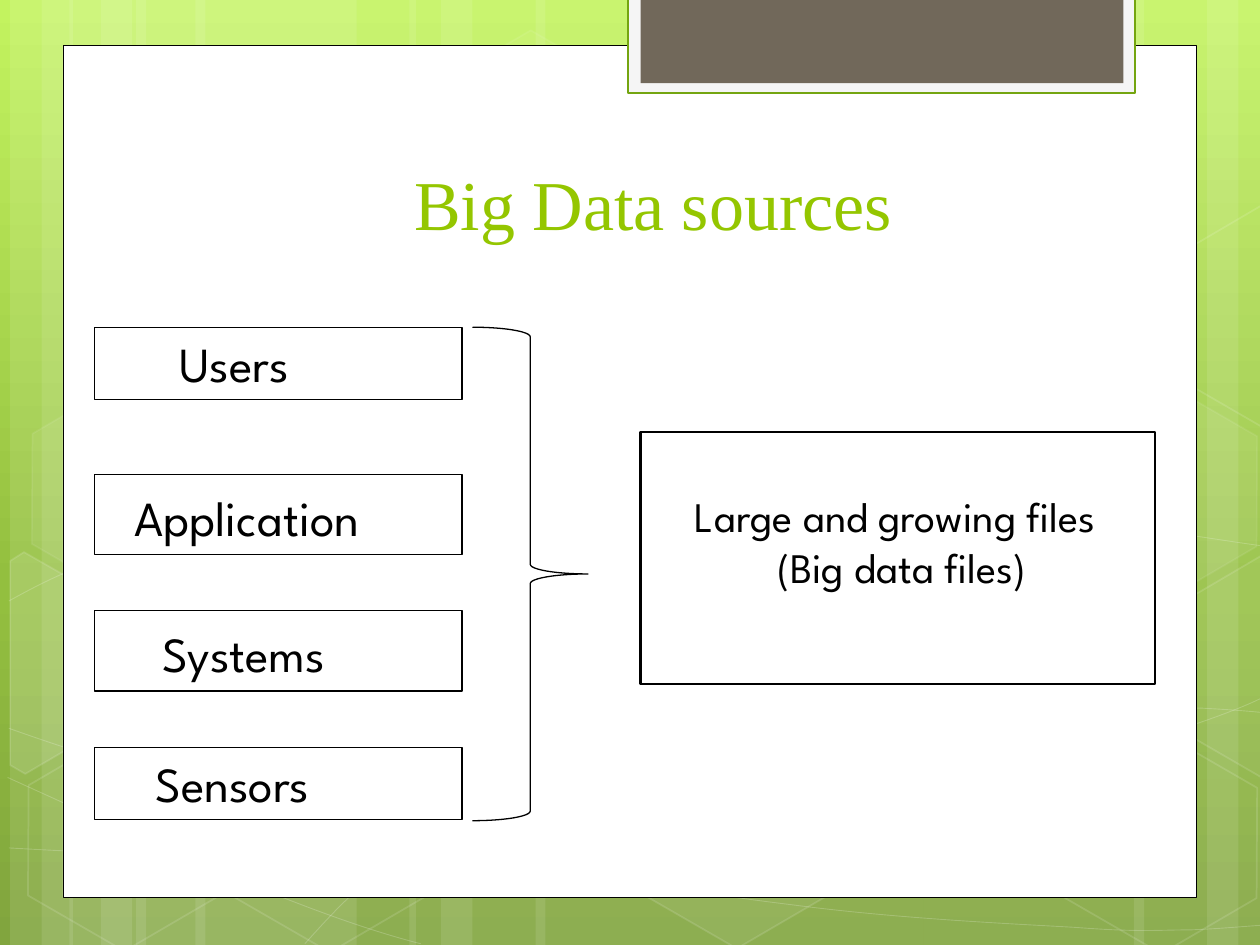
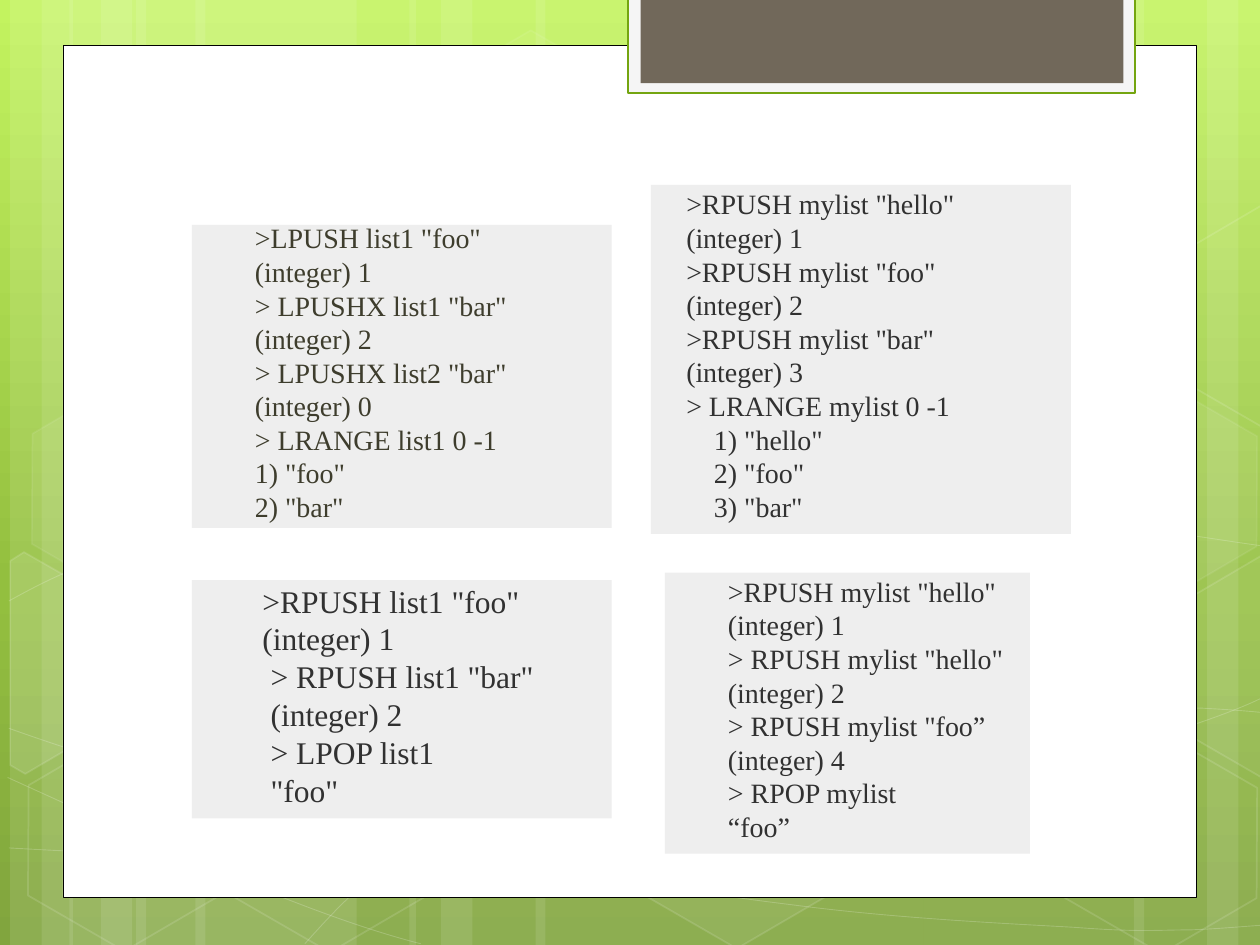
from dataclasses import dataclass
from math import cos, radians, sin
from typing import NamedTuple, Optional

from lxml.etree import SubElement
from pptx import Presentation
from pptx.dml.color import RGBColor
from pptx.enum.shapes import MSO_SHAPE
from pptx.enum.text import MSO_ANCHOR, PP_ALIGN
from pptx.oxml.ns import qn
from pptx.util import Inches, Pt

SLIDE_WIDTH, SLIDE_HEIGHT = Inches(10), Inches(7.5)
COLUMNS = 100  # the grid has square cells, so the slide is 75 rows high
CELL = SLIDE_WIDTH // COLUMNS
TILT = 30  # degrees by which every hexagon is turned

WHITE = RGBColor(0xFF, 0xFF, 0xFF)
BLACK = RGBColor(0x00, 0x00, 0x00)
SKY_TOP = RGBColor(0xC3, 0xF3, 0x5F)
SKY_MIDDLE = RGBColor(0x93, 0xBF, 0x3F)
SKY_BOTTOM = RGBColor(0x81, 0xA5, 0x3E)
TAB_FRAME = RGBColor(0xF5, 0xF5, 0xF5)
TAB_EDGE = RGBColor(0x74, 0xA5, 0x10)
TAB_BROWN = RGBColor(0x71, 0x68, 0x5A)
TITLE_GREEN = RGBColor(0x94, 0xC6, 0x00)
PANEL_GREY = RGBColor(0xEE, 0xEE, 0xEE)
OLIVE_TEXT = RGBColor(0x3E, 0x3D, 0x2D)
DARK_TEXT = RGBColor(0x31, 0x31, 0x31)

SERIF = "Times New Roman"
SANS = "League Spartan"


class Box(NamedTuple):
    """Left, top, width and height in grid cells."""
    left: float
    top: float
    width: float
    height: float


class Line(NamedTuple):
    text: str
    indent: float = 0


@dataclass
class Hexagon:
    left: float
    top: float
    fill_opacity: int
    line_opacity: int


@dataclass
class CutHexagon:
    center: tuple
    points: list
    fill_opacity: int


@dataclass
class SourceBox:
    label: str
    top: float
    height: float
    indent: float
    bottom_margin: float


@dataclass
class CodePanel:
    box: Box
    lines: list
    size: int = 16
    color: RGBColor = DARK_TEXT


STRIPS = [(10.8, 17.5), (0.8, 5), (3.3, 8.3), (15.5, 17.5), (5.5, 5), (8, 8.3),
          (73.3, 17.5), (95.8, 5), (90, 8.3), (42.5, 30.8), (32.5, 5), (35, 8.3)]

# Each curve is a start point followed by triples of Bezier points.
CURVES = [
    [(0.7, 67.3), (6.1, 67.6), (11.5, 67.9), (19, 67.8), (26.5, 67.7), (35.8, 67.5),
     (45.8, 66.5), (55.8, 65.5), (70, 63.6), (79.2, 61.7), (88.3, 59.8), (97.7, 56.8),
     (100.7, 55.1)],
    [(0.7, 47.7), (3.6, 46.1), (6.5, 44.6), (12.1, 43.1), (17.8, 41.6), (25.9, 39.4),
     (34.7, 38.7), (43.6, 38), (54.4, 37.9), (65.4, 38.7), (76.4, 39.5), (94.7, 42.6),
     (100.7, 43.4)],
    [(0.6, 61.7), (12.7, 67.2), (24.7, 72.7), (33.4, 74.9)],
    [(0.7, 57.8), (3.8, 58.9), (7, 60), (12.8, 61.6), (18.6, 63.1), (27.3, 65.6),
     (35.7, 67.3), (44, 69), (54.5, 70.8), (62.8, 71.8), (71.1, 72.9), (80, 73.3),
     (85.3, 73.6), (90.5, 74), (91.9, 73.8), (94.5, 73.8), (97.1, 73.7), (98.9, 73.5),
     (100.7, 73.4)],
    [(24.2, 74.9), (26, 72.9), (27.8, 70.9), (30.2, 69.1), (32.6, 67.3), (36, 65.3),
     (38.8, 63.9), (41.6, 62.5), (43.3, 61.9), (47, 60.9), (50.6, 59.9), (57.3, 58.5),
     (60.8, 57.8), (64.4, 57.1), (64.9, 57.1), (68, 56.9), (71.1, 56.6), (76, 56.3),
     (79.4, 56.2), (82.9, 56.1), (88.6, 56.2), (88.6, 56.2), (90.8, 56.2), (93.1, 56.2),
     (95.3, 56.2), (97.1, 56.3), (98.8, 56.4), (100.6, 56.6)],
]

HEXAGONS = [
    Hexagon(33.4, 3.6, 4, 8), Hexagon(49.7, 58.9, 6, 12), Hexagon(1.1, 59.1, 0, 12),
    Hexagon(1.4, 31.2, 7, 8), Hexagon(17.4, 59.2, 0, 12), Hexagon(75.3, 45.3, 10, 12),
    Hexagon(83.4, 59.3, 0, 12), Hexagon(83.4, 31.4, 7, 8),
]

CUT_HEXAGONS = [
    CutHexagon((3.6, 53.5), [(0.8, 44.5), (1.9, 43.8), (9.6, 48.2), (9.5, 57), (2, 61.4),
                             (0.8, 60.7)], 10),
    CutHexagon((98.5, 52), [(92.6, 48.5), (100.1, 44.1), (100.9, 44.6), (100.9, 61.3),
                            (100.2, 61.7), (92.6, 57.3)], 4),
    CutHexagon((98.5, 24.1), [(92.6, 20.7), (100.1, 16.3), (101, 16.8), (100.9, 33.5),
                              (100.2, 33.9), (92.6, 29.5)], 0),
]

SOURCE_BOXES = [
    SourceBox("Users", 26, 5.7, 5.76, 0.58),
    SourceBox("Application", 37.64, 6.4, 2.18, 0.66),
    SourceBox("Systems", 48.45, 6.4, 4.4, 0.7),
    SourceBox("Sensors", 59.33, 5.7, 3.86, 0.53),
]


def indented(indent: float, *texts: str) -> list:
    return [Line(text, indent) for text in texts]


CODE_PANELS = [
    CodePanel(Box(15.23, 17.86, 33.33, 24.04), indented(
        5, '>LPUSH list1 "foo"', "(integer) 1", '> LPUSHX list1 "bar"', "(integer) 2",
        '> LPUSHX list2 "bar"', "(integer) 0", "> LRANGE list1 0 -1", '1) "foo"',
        '2) "bar"'), color=OLIVE_TEXT),
    CodePanel(Box(15.23, 46.05, 33.33, 18.9), indented(
        5.6, '>RPUSH list1 "foo"', "(integer) 1") + indented(
        6.25, '> RPUSH list1 "bar"', "(integer) 2", "> LPOP list1", '"foo"'), size=18),
    CodePanel(Box(51.67, 14.67, 33.33, 27.7), indented(
        2.8, '>RPUSH mylist "hello"', "(integer) 1", '>RPUSH mylist "foo"', "(integer) 2",
        '>RPUSH mylist "bar"', "(integer) 3", "> LRANGE mylist 0 -1") + indented(
        5, '1) "hello"', '2) "foo"', '3) "bar"')),
    CodePanel(Box(52.78, 45.45, 28.96, 22.3), indented(
        5, '>RPUSH mylist "hello"', "(integer) 1", '> RPUSH mylist "hello"', "(integer) 2",
        '> RPUSH mylist "foo”', "(integer) 4", "> RPOP mylist", "“foo”")),
]


def cells(count: float) -> int:
    return round(count * CELL)


def set_opacity(element, percent: int) -> None:
    """Add an alpha value to every colour below the given element."""
    for color in element.iter(qn("a:srgbClr")):
        SubElement(color, qn("a:alpha")).set("val", str(percent * 1000))


def paint(shape, fill: Optional[RGBColor] = None, line: Optional[RGBColor] = None,
          width: float = 1, fill_opacity: int = 100, line_opacity: int = 100) -> None:
    shape.shadow.inherit = False
    if fill is None or fill_opacity == 0:
        shape.fill.background()
    else:
        shape.fill.solid()
        shape.fill.fore_color.rgb = fill
        if fill_opacity < 100:
            set_opacity(shape._element.spPr.find(qn("a:solidFill")), fill_opacity)
    if line is None:
        shape.line.fill.background()
    else:
        shape.line.color.rgb = line
        shape.line.width = Pt(width)
        if line_opacity < 100:
            set_opacity(shape._element.spPr.find(qn("a:ln")), line_opacity)


def add_preset(slide, box: Box, kind=MSO_SHAPE.RECTANGLE, **style):
    shape = slide.shapes.add_shape(kind, *map(cells, box))
    paint(shape, **style)
    return shape


def add_outline(slide, points: list, closed: bool, **style):
    vertices = [(cells(x), cells(y)) for x, y in points]
    builder = slide.shapes.build_freeform(*vertices[0])
    builder.add_line_segments(vertices[1:], close=closed)
    shape = builder.convert_to_shape()
    paint(shape, **style)
    return shape


def add_curve(slide, points: list, **style) -> None:
    """Draw an open outline and join its points in threes as Bezier segments."""
    outline = add_outline(slide, points, False, **style)
    segments = list(outline._element.iter(qn("a:lnTo")))
    for start in range(0, len(segments), 3):
        bezier = SubElement(segments[start].getparent(), qn("a:cubicBezTo"))
        for segment in segments[start:start + 3]:
            bezier.append(segment[0])
            segment.getparent().remove(segment)


def turn_back(point: tuple, center: tuple) -> tuple:
    """Undo the tilt of a point around a center."""
    x, y = point[0] - center[0], point[1] - center[1]
    cosine, sine = cos(radians(TILT)), sin(radians(TILT))
    return center[0] + x * cosine + y * sine, center[1] - x * sine + y * cosine


def write_text(shape, lines: list, *, size: float, color: RGBColor, font: str,
               align=PP_ALIGN.LEFT, anchor=MSO_ANCHOR.TOP, leading: Optional[float] = None,
               margins: tuple = (1, 0.5, 1, 0.5)) -> None:
    frame = shape.text_frame
    frame.word_wrap = True
    frame.vertical_anchor = anchor
    (frame.margin_left, frame.margin_top,
     frame.margin_right, frame.margin_bottom) = map(cells, margins)
    for index, line in enumerate(lines):
        paragraph = frame.add_paragraph() if index else frame.paragraphs[0]
        paragraph.alignment = align
        if leading:
            paragraph.line_spacing = Pt(leading)
        if line.indent:
            paragraph._p.get_or_add_pPr().set("marL", str(cells(line.indent)))
        run = paragraph.add_run()
        run.text = line.text
        run.font.size = Pt(size)
        run.font.name = font
        run.font.color.rgb = color


def add_text_box(slide, box: Box, lines: list, **text_format) -> None:
    write_text(slide.shapes.add_textbox(*map(cells, box)), lines, **text_format)


def set_background(slide) -> None:
    fill = slide.background.fill
    fill.gradient()
    fill.gradient_angle = 270
    stops = slide.background._cSld.find(".//" + qn("a:gsLst"))
    stops.clear()
    for position, color in ((0, SKY_TOP), (62, SKY_MIDDLE), (100, SKY_BOTTOM)):
        stop = SubElement(stops, qn("a:gs"), pos=str(position * 1000))
        SubElement(stop, qn("a:srgbClr"), val=str(color))


def add_themed_slide(presentation):
    """Add a slide with the green backdrop, the white page and the brown tab."""
    slide = presentation.slides.add_slide(presentation.slide_layouts[6])
    set_background(slide)
    for left, width in STRIPS:
        add_preset(slide, Box(left, 0, width, 75), fill=WHITE, fill_opacity=10)
    for curve in CURVES:
        add_curve(slide, curve, line=WHITE, width=0.5, line_opacity=20)
    for hexagon in HEXAGONS:
        shape = add_preset(slide, Box(hexagon.left, hexagon.top, 17.5, 15.2),
                           MSO_SHAPE.HEXAGON, fill=WHITE, line=WHITE,
                           fill_opacity=hexagon.fill_opacity,
                           line_opacity=hexagon.line_opacity)
        shape.adjustments[0] = 0.285
        shape.rotation = TILT
    for cut in CUT_HEXAGONS:
        level_points = [turn_back(point, cut.center) for point in cut.points]
        shape = add_outline(slide, level_points, True, fill=WHITE, line=WHITE,
                            fill_opacity=cut.fill_opacity, line_opacity=12)
        shape.rotation = TILT
    add_preset(slide, Box(5, 3.6, 90, 67.65), fill=WHITE, line=BLACK, width=0.5)
    add_preset(slide, Box(49.87, -0.2, 40.23, 7.6), fill=TAB_FRAME, line=TAB_EDGE, width=1.25)
    add_preset(slide, Box(50.84, -0.2, 38.33, 6.8), fill=TAB_BROWN)
    return slide


def build_sources_slide(presentation) -> None:
    slide = add_themed_slide(presentation)
    for source in SOURCE_BOXES:
        shape = add_preset(slide, Box(7.5, source.top, 29.17, source.height),
                           fill=WHITE, line=BLACK, width=0.75)
        write_text(shape, [Line(source.label, source.indent)], size=28, color=BLACK,
                   font=SANS, anchor=MSO_ANCHOR.BOTTOM,
                   margins=(1, 0.5, 1, source.bottom_margin))
    add_preset(slide, Box(50.83, 34.3, 40.83, 20), fill=WHITE, line=BLACK, width=1.25)
    add_text_box(slide, Box(54.17, 38.45, 36.67, 9.1),
                 [Line("Large and growing files"), Line("(Big data files)", 6.55)],
                 size=24, color=BLACK, font=SANS)
    add_preset(slide, Box(37.5, 25.97, 9.17, 39.17), MSO_SHAPE.RIGHT_BRACE,
               line=BLACK, width=0.75)
    add_text_box(slide, Box(8.13, 11.6, 87.4, 8.3), [Line("Big Data sources")], size=40,
                 color=TITLE_GREEN, font=SERIF, align=PP_ALIGN.CENTER,
                 anchor=MSO_ANCHOR.BOTTOM)


def build_commands_slide(presentation) -> None:
    slide = add_themed_slide(presentation)
    for panel in CODE_PANELS:
        shape = add_preset(slide, panel.box, fill=PANEL_GREY)
        write_text(shape, panel.lines, size=panel.size, color=panel.color, font=SERIF,
                   anchor=MSO_ANCHOR.MIDDLE, leading=1.2 * panel.size,
                   margins=(0, 0, 0, 0.7))


def main() -> None:
    presentation = Presentation()
    presentation.slide_width, presentation.slide_height = SLIDE_WIDTH, SLIDE_HEIGHT
    build_sources_slide(presentation)
    build_commands_slide(presentation)
    presentation.save("out.pptx")


if __name__ == "__main__":
    main()
